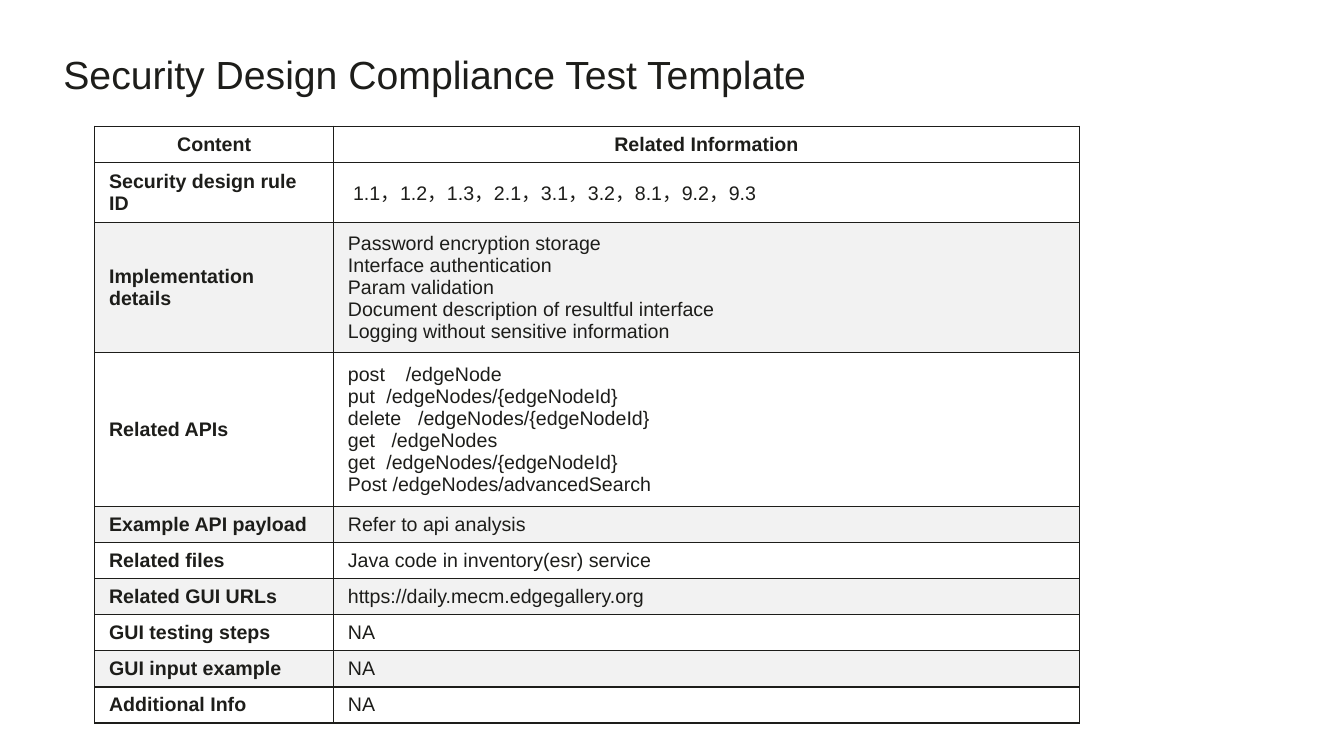
import dataclasses

import lxml.etree
import pptx
import pptx.dml.color
import pptx.enum.text
import pptx.oxml.ns
import pptx.util

Cm = pptx.util.Cm
Pt = pptx.util.Pt
ANCHOR = pptx.enum.text.MSO_ANCHOR
ALIGN = pptx.enum.text.PP_ALIGN
qn = pptx.oxml.ns.qn


@dataclasses.dataclass
class Theme:
    font: str = "Arial"
    ink: str = "1D1D1A"
    white: str = "FFFFFF"
    band: str = "F2F2F2"
    title: int = 28
    body: int = 14
    border: int = 1


theme = Theme()


def style(p, size, bold=False):
    for r in p.runs:
        r.font.name = theme.font
        r.font.size = Pt(size)
        r.font.bold = bold
        r.font.color.rgb = pptx.dml.color.RGBColor.from_string(theme.ink)


def add_borders(cell):
    tcPr = cell._tc.get_or_add_tcPr()
    for i, side in enumerate(("a:lnL", "a:lnR", "a:lnT", "a:lnB")):
        ln = lxml.etree.Element(qn(side), w=str(Pt(theme.border)))
        fill = lxml.etree.SubElement(ln, qn("a:solidFill"))
        lxml.etree.SubElement(fill, qn("a:srgbClr"), val=theme.ink)
        tcPr.insert(i, ln)


rows = [
    ("Content", "Related Information", 0.91),
    ("Security design rule ID", "1.1，1.2，1.3，2.1，3.1，3.2，8.1，9.2，9.3", 1.51),
    ("Implementation details",
     "Password encryption storage\n"
     "Interface authentication\n"
     "Param validation\n"
     "Document description of resultful interface\n"
     "Logging without sensitive information", 3.28),
    ("Related APIs",
     "post\t/edgeNode\n"
     "put\t/edgeNodes/{edgeNodeId}\n"
     "delete\t/edgeNodes/{edgeNodeId}\n"
     "get\t/edgeNodes\n"
     "get\t/edgeNodes/{edgeNodeId}\n"
     "Post /edgeNodes/advancedSearch", 3.88),
    ("Example API payload", "Refer to api analysis", 0.91),
    ("Related files", "Java code in inventory(esr) service", 0.91),
    ("Related GUI URLs", "https://daily.mecm.edgegallery.org", 0.91),
    ("GUI testing steps", "NA", 0.91),
    ("GUI input example", "NA", 0.91),
    ("Additional Info", "NA", 0.91),
]
col_widths = (6.02, 18.8)
api_tabs = (1.46, 0.97, 1.77, 1.1, 0.97)

prs = pptx.Presentation()
prs.slide_width = Cm(33.88)
prs.slide_height = Cm(19.05)
s = prs.slides.add_slide(prs.slide_layouts[6])

sp = s.shapes.add_textbox(Cm(1.35), Cm(1.4), Cm(26.39), Cm(1.03))
tf = sp.text_frame
tf.word_wrap = True
tf.margin_top = tf.margin_bottom = 0
tf.text = "Security Design Compliance Test Template"
tf.paragraphs[0].line_spacing = 0.9
style(tf.paragraphs[0], theme.title)

table_height = sum(height for _, _, height in rows)
table = s.shapes.add_table(
    len(rows), len(col_widths), Cm(2.39), Cm(3.18), Cm(sum(col_widths)), Cm(table_height)
).table
for col, width in zip(table.columns, col_widths):
    col.width = Cm(width)

for i, (label, info, height) in enumerate(rows):
    table.rows[i].height = Cm(height)
    banded = i > 0 and i % 2 == 0
    for j, text in enumerate((label, info)):
        cell = table.cell(i, j)
        cell.vertical_anchor = ANCHOR.MIDDLE
        cell.margin_left = cell.margin_right = Cm(0.36)
        cell.margin_top = cell.margin_bottom = Cm(0.15)
        cell.fill.solid()
        cell.fill.fore_color.rgb = pptx.dml.color.RGBColor.from_string(
            theme.band if banded else theme.white)
        add_borders(cell)
        cell.text_frame.text = text
        for p in cell.text_frame.paragraphs:
            p.alignment = ALIGN.CENTER if i == 0 else ALIGN.LEFT
            style(p, theme.body, bold=i == 0 or j == 0)

rule_ids = table.cell(1, 1).text_frame.paragraphs[0]
rule_ids._p.get_or_add_pPr().set("marL", str(Cm(0.13)))

for p, stop in zip(table.cell(3, 1).text_frame.paragraphs, api_tabs):
    tabs = lxml.etree.SubElement(p._p.get_or_add_pPr(), qn("a:tabLst"))
    lxml.etree.SubElement(tabs, qn("a:tab"), pos=str(Cm(stop)), algn="l")

prs.save("out.pptx")
